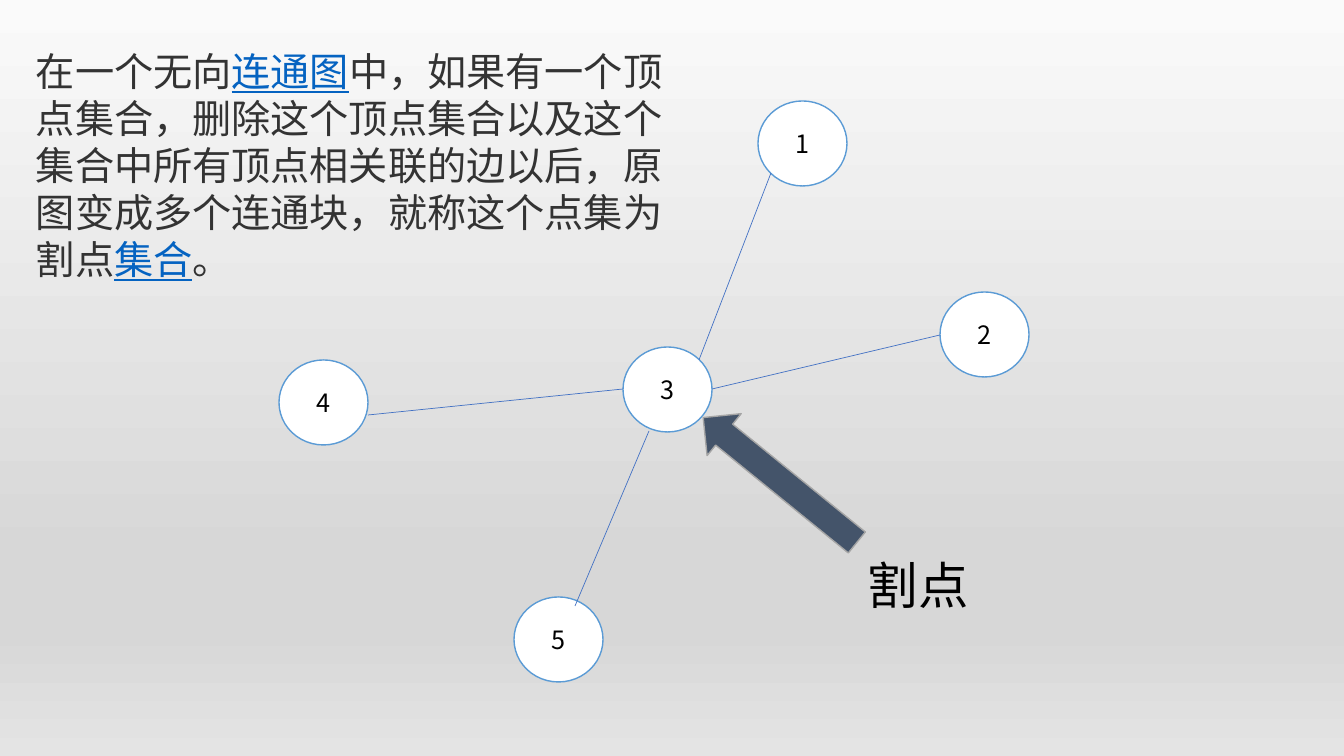
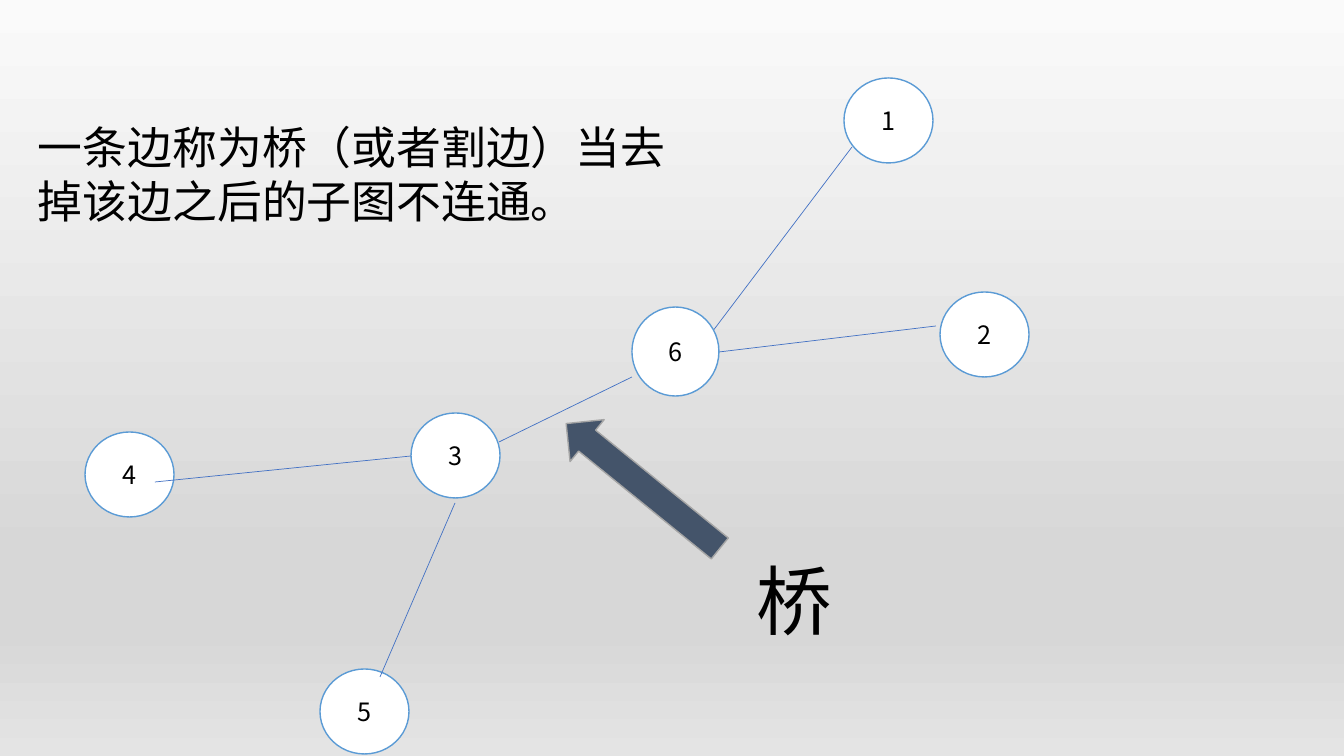
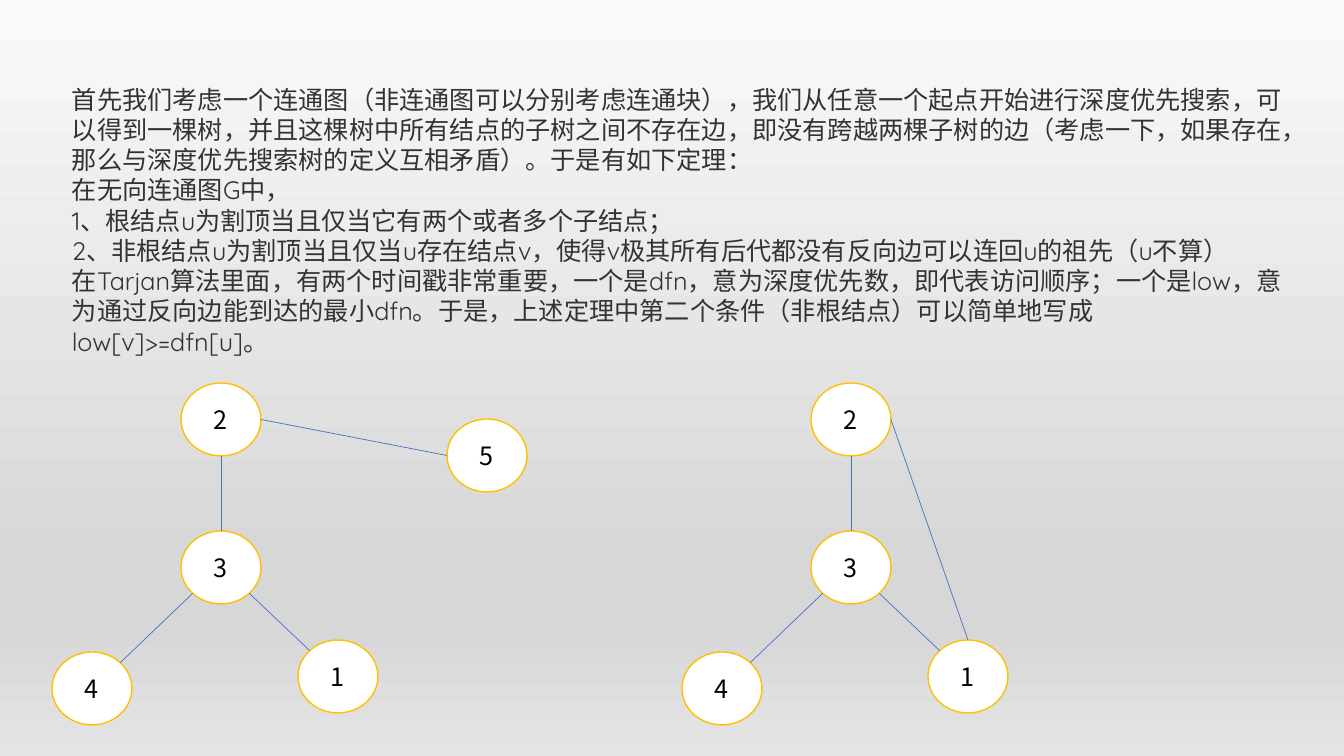
from lxml import etree
from pptx import Presentation
from pptx.dml.color import RGBColor
from pptx.enum import shapes, text
from pptx.oxml.ns import qn
from pptx.util import Emu, Pt

PX = 12192000 / 1344
CJK = "Noto Sans CJK SC"
LATIN = "Quicksand"
WHITE = RGBColor(0xFF, 0xFF, 0xFF)
BLACK = RGBColor(0x00, 0x00, 0x00)
INK = RGBColor(0x33, 0x33, 0x33)
LINK = RGBColor(0x05, 0x63, 0xC1)
SKY = RGBColor(0x5B, 0x9B, 0xD5)
GOLD = RGBColor(0xFF, 0xC0, 0x00)
EDGE = RGBColor(0x44, 0x72, 0xC4)
SLATE = RGBColor(0x44, 0x54, 0x6A)
GREY = RGBColor(0xA5, 0xA5, 0xA5)
BACKDROP = [(0, "FAFAFA"), (74, "D7D7D7"), (83, "D7D7D7"), (100, "E4E4E4")]

TOP, BOTTOM, LEFT, RIGHT = (0, -1), (0, 1), (-1, 0), (1, 0)
TOP_LEFT, TOP_RIGHT = (-0.71, -0.71), (0.71, -0.71)
BOTTOM_LEFT, BOTTOM_RIGHT = (-0.71, 0.71), (0.71, 0.71)

CUT_SET = [
    ("在一个无向", False),
    ("连通图", True),
    ("中，如果有一个顶点集合，删除这个顶点集合以及这个集合中所有顶点相关联的边以后，"
     "原图变成多个连通块，就称这个点集为割点", False),
    ("集合", True),
    ("。", False),
]
BRIDGE = "一条边称为桥（或者割边）当去掉该边之后的子图不连通。"
THEOREM = [
    "首先我们考虑一个连通图（非连通图可以分别考虑连通块），我们从任意一个起点开始进行"
    "深度优先搜索，可以得到一棵树，并且这棵树中所有结点的子树之间不存在边，即没有跨越两棵"
    "子树的边（考虑一下，如果存在，那么与深度优先搜索树的定义互相矛盾）。于是有如下定理：",
    "在无向连通图G中，",
    "1、根结点u为割顶当且仅当它有两个或者多个子结点；",
    "2、非根结点u为割顶当且仅当u存在结点v，使得v极其所有后代都没有反向边可以连回u的祖先（u不算）",
    "在Tarjan算法里面，有两个时间戳非常重要，一个是dfn，意为深度优先数，即代表访问顺序；"
    "一个是low，意为通过反向边能到达的最小dfn。于是，上述定理中第二个条件（非根结点）"
    "可以简单地写成low[v]>=dfn[u]。",
]

TREE = {"2": (181, 383), "1": (298, 640), "3": (181, 531), "4": (52, 652)}
TREE_EDGES = [
    ("2", BOTTOM, "3", TOP),
    ("3", BOTTOM_LEFT, "4", TOP_RIGHT),
    ("3", BOTTOM_RIGHT, "1", TOP_LEFT),
]


def px(*lengths):
    """Turn pixel lengths into EMU."""
    return [Emu(round(length * PX)) for length in lengths]


def set_backdrop(master):
    """Give the master the shared grey gradient."""
    fill = master.background.fill
    fill.gradient()
    fill.gradient_angle = 270
    stops = master.element.find(".//" + qn("a:gsLst"))
    for stop in list(stops):
        stops.remove(stop)
    for percent, colour in BACKDROP:
        stop = etree.SubElement(stops, qn("a:gs"), pos=str(percent * 1000))
        etree.SubElement(stop, qn("a:srgbClr"), val=colour)


def style_paragraph(para, size, font, colour):
    """Set the font of a whole paragraph, Chinese characters included."""
    para.font.size = Pt(size)
    para.font.color.rgb = colour
    para.font.name = font
    for props in para._p.iter(qn("a:defRPr")):
        etree.SubElement(props, qn("a:ea"), typeface=CJK)


def add_text(page, area, lines, size, font=CJK, colour=BLACK):
    """Add a wrapping text box; each line is a list of (words, is_link)."""
    box = page.shapes.add_textbox(*px(*area))
    frame = box.text_frame
    frame.word_wrap = True
    frame.auto_size = text.MSO_AUTO_SIZE.SHAPE_TO_FIT_TEXT
    for index, line in enumerate(lines):
        para = frame.add_paragraph() if index else frame.paragraphs[0]
        for words, is_link in line:
            span = para.add_run()
            span.text = words
            if is_link:
                span.font.color.rgb = LINK
                span.font.underline = True
        style_paragraph(para, size, font, colour)


def add_preset(page, kind, area, fill, outline):
    """Add a flat preset shape with a one-point outline."""
    shape = page.shapes.add_shape(kind, *px(*area))
    shape.shadow.inherit = False
    shape.fill.solid()
    shape.fill.fore_color.rgb = fill
    shape.line.color.rgb = outline
    shape.line.width = Pt(1)
    return shape


def add_node(page, label, place, size=(89, 85), outline=SKY):
    """Add a numbered graph vertex."""
    node = add_preset(page, shapes.MSO_SHAPE.OVAL, (*place, *size), WHITE, outline)
    frame = node.text_frame
    frame.vertical_anchor = text.MSO_ANCHOR.MIDDLE
    para = frame.paragraphs[0]
    para.text = label
    para.alignment = text.PP_ALIGN.CENTER
    style_paragraph(para, 18, CJK, BLACK)
    return node


def add_edge(page, start, end):
    """Draw a thin graph edge between two points in EMU."""
    edge = page.shapes.add_connector(shapes.MSO_CONNECTOR.STRAIGHT, *start, *end)
    edge.line.color.rgb = EDGE
    edge.line.width = Pt(0.5)
    etree.SubElement(edge._element.spPr, qn("a:effectLst"))


def add_graph(page, nodes, edges):
    """Draw vertices at their places, then edges given as x1, y1, x2, y2."""
    for label, place in nodes.items():
        add_node(page, label, place)
    for x1, y1, x2, y2 in edges:
        add_edge(page, px(x1, y1), px(x2, y2))


def add_pointer(page, left, top):
    """Add the block arrow that points up and left."""
    area = (left, top, 198, 54)
    arrow = add_preset(page, shapes.MSO_SHAPE.RIGHT_ARROW, area, SLATE, GREY)
    arrow.rotation = 219.1


def rim(node, direction):
    """Return the point on a vertex's outline in a direction."""
    across, down = direction
    return (Emu(round(node.left + node.width * (1 + across) / 2)),
            Emu(round(node.top + node.height * (1 + down) / 2)))


def add_tree(page, shift, places, edges):
    """Draw a search tree moved right by shift pixels."""
    nodes = {label: add_node(page, label, (left + shift, top), (80, 73), GOLD)
             for label, (left, top) in places.items()}
    for start, leaving, end, arriving in edges:
        add_edge(page, rim(nodes[start], leaving), rim(nodes[end], arriving))


def build_cut_vertex(page):
    """Explain the cut vertex."""
    add_graph(
        page,
        {"5": (514, 597), "4": (279, 360), "3": (623, 347),
         "2": (940, 292), "1": (758, 101)},
        [(771, 173, 699, 360), (623, 389, 368, 415),
         (940, 335, 712, 389), (649, 431, 575, 606)],
    )
    add_pointer(page, 681, 453)
    add_text(page, (858, 549, 124, 72), [[("割点", False)]], 36)
    add_text(page, (26, 42, 659, 248), [CUT_SET], 28, LATIN, INK)


def build_bridge(page):
    """Explain the bridge."""
    add_graph(
        page,
        {"5": (320, 669), "4": (85, 432), "3": (411, 413),
         "2": (940, 292), "1": (844, 78)},
        [(852, 147, 694, 356), (411, 456, 155, 482), (936, 326, 719, 352),
         (455, 503, 380, 677), (632, 377, 499, 442)],
    )
    add_node(page, "6", (632, 307), (87, 89))
    add_pointer(page, 544, 459)
    add_text(page, (747, 549, 124, 102), [[("桥", False)]], 54)
    add_text(page, (28, 115, 672, 119), [[(BRIDGE, False)]], 32)


def build_theorem(page):
    """State the theorem above two search trees."""
    lines = [[(line, False)] for line in THEOREM]
    add_text(page, (62, 79, 1233, 285), lines, 18, LATIN, INK)
    add_tree(page, 0, {**TREE, "5": (447, 419)},
             TREE_EDGES + [("2", RIGHT, "5", LEFT)])
    add_tree(page, 630, TREE, TREE_EDGES + [("2", RIGHT, "1", TOP)])


def main():
    """Build and save the deck."""
    deck = Presentation()
    deck.slide_width, deck.slide_height = px(1344, 756)
    set_backdrop(deck.slide_master)
    for build in (build_cut_vertex, build_bridge, build_theorem):
        build(deck.slides.add_slide(deck.slide_layouts[6]))
    deck.save("out.pptx")


if __name__ == "__main__":
    main()
